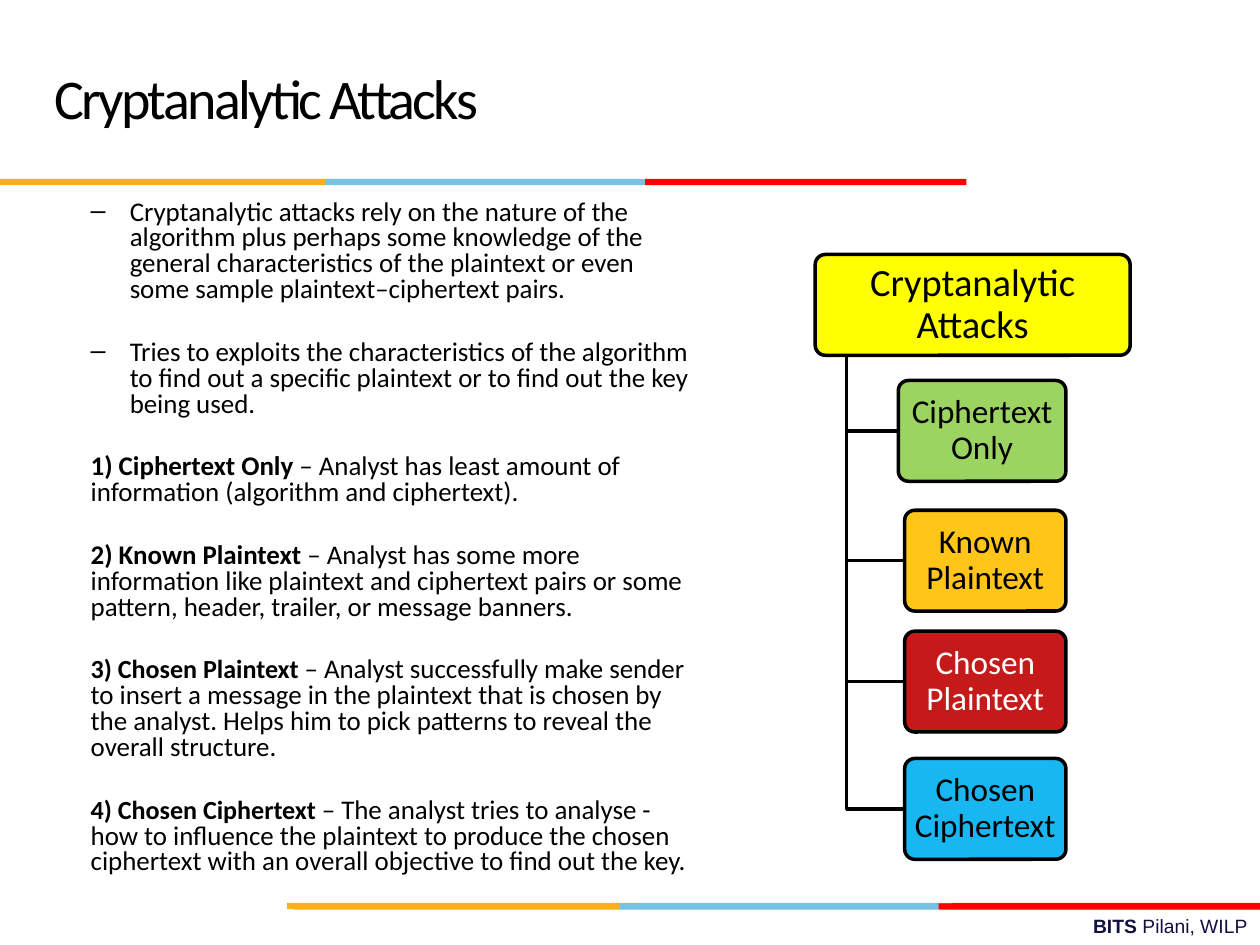
from lxml.etree import SubElement
from pptx import Presentation
from pptx.dml.color import RGBColor
from pptx.enum.shapes import MSO_SHAPE as SHAPE
from pptx.enum.text import MSO_ANCHOR as ANCHOR, MSO_AUTO_SIZE as FIT, PP_ALIGN as ALIGN
from pptx.oxml.ns import qn
from pptx.util import Inches, Pt

COLORS = {
    "black": "000000", "white": "FFFFFF", "navy": "101141",
    "amber": "FCB017", "sky": "76C2E5", "red": "FF0000", "crimson": "E31C24",
    "yellow": "FFFF00", "green": "92D050", "gold": "FFC000",
    "dark red": "C00000", "blue": "00B0F0",
}
COLS, ROWS = 100, 75
TITLE = {"size": Pt(32), "name": "Calibri", "bold": False}
BODY = {"size": Pt(15.4), "name": "Calibri", "bold": False}
STRONG = BODY | {"bold": True}
SMALL_STRONG = STRONG | {"size": Pt(14.9)}
ROOT = {"size": Pt(22), "name": "Calibri"}
NODE = {"size": Pt(19), "name": "Calibri"}
FOOTER = {"size": Pt(11), "name": "Arial", "bold": False}


class Deck:
    def __init__(self):
        self.prs = Presentation()
        self.prs.slide_width, self.prs.slide_height = Inches(10), Inches(7.5)
        self.s = self.prs.slides.add_slide(self.prs.slide_layouts[1])

    def x(self, col):
        return int(self.prs.slide_width * col / COLS)

    def y(self, row):
        return int(self.prs.slide_height * row / ROWS)

    def box(self, col, row, cols, rows):
        return self.x(col), self.y(row), self.x(cols), self.y(rows)

    def place(self, sp, *cells):
        sp.left, sp.top, sp.width, sp.height = self.box(*cells)
        return sp

    def format(self, obj, values):
        for key, value in values.items():
            setattr(obj, key, value)

    def run(self, p, text, style, color="black"):
        r = p.add_run()
        r.text = text
        self.format(r.font, style)
        r.font.color.rgb = RGBColor.from_string(COLORS[color])
        return r

    def title(self, text, *cells):
        tf = self.place(self.s.shapes.title, *cells).text_frame
        self.format(tf, {"vertical_anchor": ANCHOR.MIDDLE, "auto_size": FIT.NONE})
        p = tf.paragraphs[0]
        self.format(p, {"alignment": ALIGN.LEFT, "line_spacing": Pt(36)})
        self.run(p, text, TITLE).font._element.set("spc", "-150")

    def body(self, items, *cells):
        tf = self.place(self.s.placeholders[1], *cells).text_frame
        self.format(tf, {"auto_size": FIT.NONE, "vertical_anchor": ANCHOR.TOP})
        for i, (dash, parts) in enumerate(items):
            p = tf.paragraphs[0] if i == 0 else tf.add_paragraph()
            self.format(p, {"level": 1, "line_spacing": 0.8,
                            "space_before": Pt(21 if i else 0)})
            pPr = p._p.get_or_add_pPr()
            pPr.set("marL", str(Inches(0.81 if dash else 0.5)))
            pPr.set("indent", str(Inches(-0.31 if dash else 0)))
            if dash:
                SubElement(pPr, qn("a:buChar")).set("char", "–")
            else:
                SubElement(pPr, qn("a:buNone"))
            for text, style in parts:
                self.run(p, text, style)

    def band(self, row, edges, colors):
        for left, right, color in zip(edges, edges[1:], colors):
            sp = self.s.shapes.add_shape(
                SHAPE.RECTANGLE, *self.box(left, row, right - left, 0.5))
            sp.shadow.inherit = False
            self.fill(sp, color)
            sp.line.fill.background()

    def fill(self, sp, color, alpha=100):
        sp.fill.solid()
        sp.fill.fore_color.rgb = RGBColor.from_string(COLORS[color])
        if alpha < 100:
            clr = sp._element.spPr.find(qn("a:solidFill"))[0]
            SubElement(clr, qn("a:alpha")).set("val", str(alpha * 1000))

    def outline(self, sp):
        sp.shadow.inherit = False
        sp.line.color.rgb = RGBColor.from_string(COLORS["black"])
        sp.line.width = Pt(2)

    def node(self, text, style, fill, color, alpha, *cells):
        sp = self.s.shapes.add_shape(SHAPE.ROUNDED_RECTANGLE, *self.box(*cells))
        sp.adjustments[0] = 0.1
        self.fill(sp, fill, alpha)
        self.outline(sp)
        tf = sp.text_frame
        self.format(tf, {"word_wrap": True, "vertical_anchor": ANCHOR.MIDDLE,
                         "margin_left": self.x(0.2), "margin_right": self.x(0.2),
                         "margin_top": self.y(0.2), "margin_bottom": self.y(0.2)})
        p = tf.paragraphs[0]
        self.format(p, {"alignment": ALIGN.CENTER, "line_spacing": 0.9})
        self.run(p, text, style, color)

    def elbow(self, col, row, end_col, end_row):
        fb = self.s.shapes.build_freeform(self.x(col), self.y(row))
        fb.add_line_segments([(self.x(col), self.y(end_row)),
                              (self.x(end_col), self.y(end_row))], close=False)
        sp = fb.convert_to_shape()
        sp.fill.background()
        self.outline(sp)

    def footer(self, parts, *cells):
        tf = self.s.shapes.add_textbox(*self.box(*cells)).text_frame
        tf.word_wrap = True
        p = tf.paragraphs[0]
        p.alignment = ALIGN.RIGHT
        for text, style in parts:
            self.run(p, text, style, "navy")


def main():
    d = Deck()
    d.footer([("BITS ", FOOTER | {"bold": True}), ("Pilani, WILP", FOOTER)],
             35.8, 72.1, 64.2, 2.9)
    d.band(71.65, [22.8, 50.8, 75.5, 100], ["amber", "sky", "crimson"])
    d.band(71.7, [23.3, 49.2, 74.5, 100], ["amber", "sky", "red"])
    d.band(14.2, [0, 25.8, 51.2, 76.7], ["amber", "sky", "red"])
    d.title("Cryptanalytic Attacks", 3.3, 1.65, 69.2, 12.5)
    d.body([
        (True, [("Cryptanalytic attacks rely on the nature of the algorithm plus perhaps some "
                 "knowledge of the general characteristics of the plaintext or even some sample "
                 "plaintext–ciphertext pairs.", BODY)]),
        (True, [("Tries to exploits the characteristics of the algorithm to find out a specific "
                 "plaintext or to find out the key being used.", BODY)]),
        (False, [("1) Ciphertext Only ", STRONG),
                 ("– Analyst has least amount of information (algorithm and ciphertext).", BODY)]),
        (False, [("2) Known Plaintext ", STRONG),
                 ("– Analyst has some more information like plaintext and ciphertext pairs or "
                  "some pattern, header, trailer, or message banners.", BODY)]),
        (False, [("3) Chosen Plaintext ", SMALL_STRONG),
                 ("– Analyst successfully make sender to insert a message in the plaintext that "
                  "is chosen by the analyst. Helps him to pick patterns to reveal the overall "
                  "structure.", BODY)]),
        (False, [("4) Chosen Ciphertext ", SMALL_STRONG),
                 ("– The analyst tries to analyse - how to influence the plaintext to produce "
                  "the chosen ciphertext with an overall objective to find out the key.", BODY)]),
    ], 1.2, 15.4, 55.1, 59)

    d.node("Cryptanalytic Attacks", ROOT, "yellow", "black", 100, 64.7, 20.2, 25, 8)
    right = 84.6
    for text, fill, color, left, top in [
        ("Ciphertext Only", "green", "black", 71.3, 30.2),
        ("Known Plaintext", "gold", "black", 71.8, 40.5),
        ("Chosen Plaintext", "dark red", "white", 71.8, 50.1),
        ("Chosen Ciphertext", "blue", "black", 71.8, 60.2),
    ]:
        d.elbow(67.2, 28.2, left, top + 4)
        d.node(text, NODE, fill, color, 90, left, top, right - left, 8)
    d.prs.save("out.pptx")


if __name__ == "__main__":
    main()
